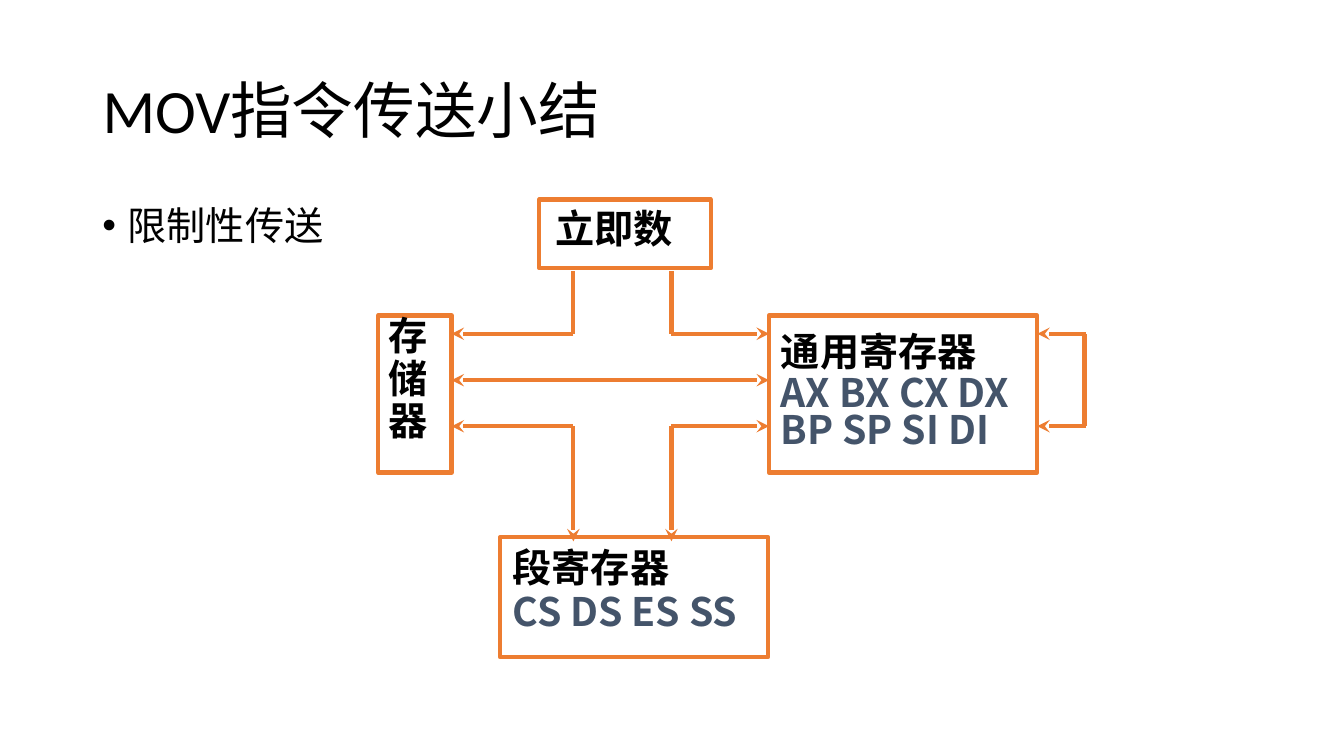
"""Build the slide that sums up the transfers allowed by the MOV instruction."""
from pptx import Presentation
from pptx.dml.color import RGBColor
from pptx.enum.shapes import MSO_CONNECTOR, MSO_SHAPE
from pptx.enum.text import MSO_ANCHOR, PP_ALIGN
from pptx.oxml.ns import qn
from pptx.util import Cm, Pt
from lxml import etree

BLACK = RGBColor(0x00, 0x00, 0x00)
ORANGE = RGBColor(0xED, 0x7D, 0x31)
SLATE = RGBColor(0x44, 0x54, 0x6A)
RECTANGLE = MSO_SHAPE.RECTANGLE
STRAIGHT = MSO_CONNECTOR.STRAIGHT
MIDDLE, TOP = MSO_ANCHOR.MIDDLE, MSO_ANCHOR.TOP
LEFT = PP_ALIGN.LEFT


def set_font(para, name, size, color, bold=False):
    para.font.name = name
    para.font.size = Pt(size)
    para.font.color.rgb = color
    para.font.bold = bold


def add_text_box(slide, place, anchor=TOP):
    box = slide.shapes.add_textbox(*[Cm(length) for length in place])
    box.text_frame.word_wrap = True
    box.text_frame.vertical_anchor = anchor
    return box.text_frame


deck = Presentation()
deck.slide_width = Cm(33.87)
deck.slide_height = Cm(19.05)
page = deck.slides.add_slide(deck.slide_layouts[5])

title = page.shapes.title
title.left, title.top, title.width, title.height = Cm(2.33), Cm(1.01), Cm(29.21), Cm(3.68)
title.text_frame.text = "MOV指令传送小结"
title.text_frame.vertical_anchor = MIDDLE
heading = title.text_frame.paragraphs[0]
heading.alignment = LEFT
heading.line_spacing = 0.9
set_font(heading, "Calibri", 44, BLACK)

point = add_text_box(page, (2.33, 5.07, 26.36, 11.51)).paragraphs[0]
point.text = "限制性传送"
point.line_spacing = 0.9
properties = point._p.get_or_add_pPr()
properties.set("marL", str(Cm(0.64)))
properties.set("indent", str(Cm(-0.64)))
etree.SubElement(properties, qn("a:buFont")).set("typeface", "Arial")
etree.SubElement(properties, qn("a:buChar")).set("char", "•")
set_font(point, "Calibri", 28, BLACK)

frames = [
    (13.59, 5.03, 4.32, 1.73),
    (9.53, 7.95, 1.85, 3.96),
    (19.38, 7.95, 6.76, 3.96),
    (12.6, 13.54, 6.76, 3.02),
]
for place in frames:
    frame = page.shapes.add_shape(RECTANGLE, *[Cm(length) for length in place])
    frame.shadow.inherit = False
    frame.fill.background()
    frame.line.color.rgb = ORANGE
    frame.line.width = Pt(3)

memory_edge, general_edge, general_end, loop_x = 11.38, 19.38, 26.14, 27.33
upper, middle, lower = 8.41, 9.58, 10.74
immediate_bottom, segment_top = 6.83, 13.64
wires = [
    (memory_edge, middle, general_edge, middle, ("headEnd", "tailEnd")),
    (loop_x, upper, loop_x, lower, ()),
]
for branch_x, target_x in ((14.45, memory_edge), (16.92, general_edge)):
    wires += [
        (branch_x, immediate_bottom, branch_x, upper, ()),
        (branch_x, upper, target_x, upper, ("tailEnd",)),
        (branch_x, lower, target_x, lower, ("tailEnd",)),
        (branch_x, lower, branch_x, segment_top, ("tailEnd",)),
    ]
for level in (upper, lower):
    wires.append((general_end, level, loop_x + 0.05, level, ("headEnd",)))

for *ends, arrowheads in wires:
    wire = page.shapes.add_connector(STRAIGHT, *[Cm(length) for length in ends])
    wire.line.color.rgb = ORANGE
    wire.line.width = Pt(3)
    outline = wire.line._get_or_add_ln()
    for arrowhead in arrowheads:
        etree.SubElement(outline, qn(f"a:{arrowhead}")).set("type", "stealth")
    etree.SubElement(wire._element.spPr, qn("a:effectLst"))

HEAD = ("Times New Roman", BLACK)
CODE = ("Noto Sans CJK SC", SLATE)
labels = [
    ((13.74, 5.03, 3.84, 1.45), [("立即数", HEAD, 1.0)]),
    ((12.67, 13.56, 6.58, 2.74), [("段寄存器", HEAD, 1.0), ("CS DS ES SS", CODE, 0.6)]),
    ((19.43, 8.13, 6.68, 3.81), [
        ("通用寄存器", HEAD, 1.0),
        ("AX BX CX DX", CODE, 0.5),
        ("BP SP SI DI", CODE, 0.5),
    ]),
    ((9.53, 8.15, 1.47, 3.58), [(character, HEAD, 0.6) for character in "存储器"]),
]
for place, lines in labels:
    text_frame = add_text_box(page, place)
    for index, (words, (font_name, color), spacing) in enumerate(lines):
        para = text_frame.add_paragraph() if index else text_frame.paragraphs[0]
        para.text = words
        para.line_spacing = spacing
        if index:
            para.space_before = Pt(10)
        set_font(para, font_name, 28, color, bold=True)

deck.save("out.pptx")
